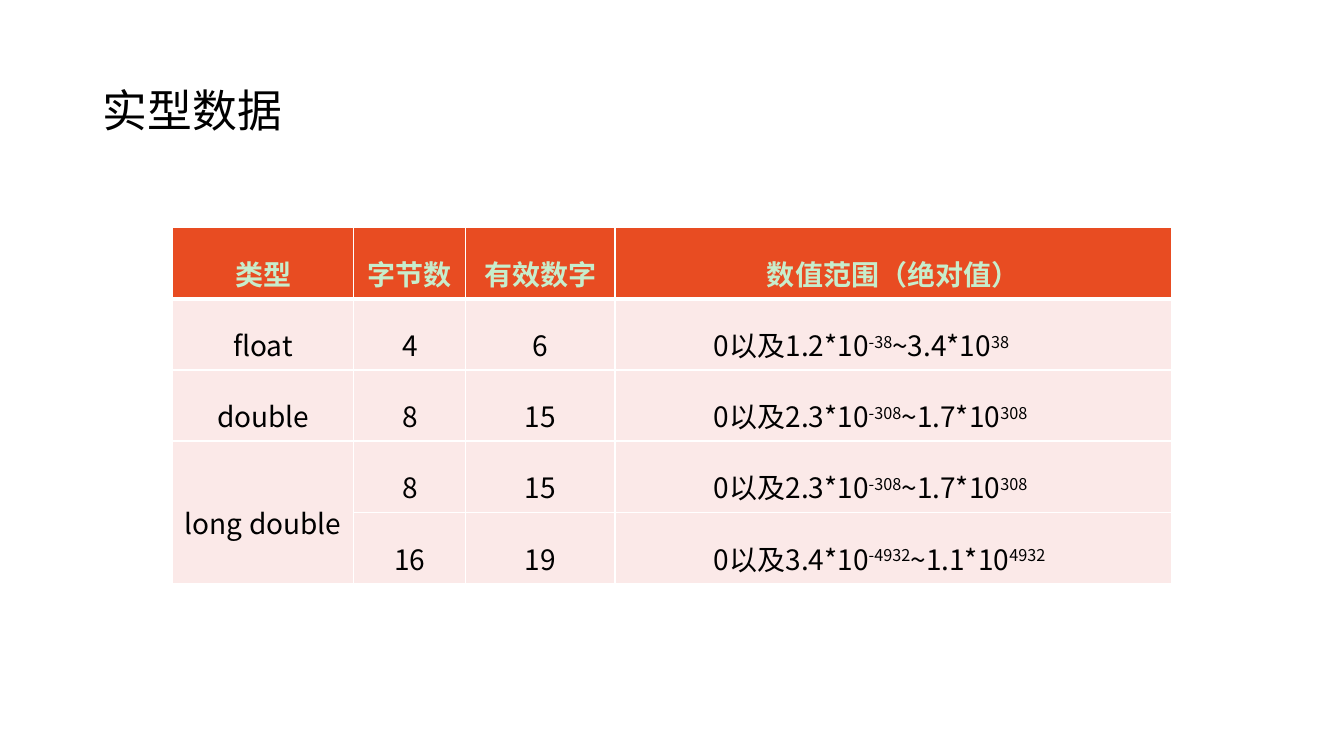
from pptx import Presentation
from pptx.dml.color import RGBColor
from pptx.enum import text
from pptx.oxml.ns import qn
from pptx.util import Inches, Pt
from lxml import etree

TITLE = "实型数据"
HEADERS = ["类型", "字节数", "有效数字", "数值范围（绝对值）"]
# Range cells alternate between normal text and superscript.
ROWS = [
    ("float", "4", "6", ("0以及1.2*10", "-38", "~3.4*10", "38")),
    ("double", "8", "15", ("0以及2.3*10", "-308", "~1.7*10", "308")),
    ("long double", "8", "15", ("0以及2.3*10", "-308", "~1.7*10", "308")),
    ("", "16", "19", ("0以及3.4*10", "-4932", "~1.1*10", "4932")),
]
COLUMN_WIDTHS = [1.8, 1.11, 1.48, 5.52]
ROW_HEIGHT = 0.7
RANGE_MARGIN = 0.98
FONT = "Noto Sans CJK SC"
COLORS = {
    "background": "FFFFFF",
    "border": "FFFFFF",
    "header": "E84C22",
    "header_text": "C7EDCC",
    "body": "FBE9E8",
    "text": "000000",
}


def color(name):
    return RGBColor.from_string(COLORS[name])


def write(frame, parts, size=20, ink="text", bold=False, spacing=1.5,
          align=text.PP_ALIGN.CENTER):
    """Fill the first paragraph; every second part is superscript."""
    para = frame.paragraphs[0]
    para.alignment = align
    para.line_spacing = spacing
    for index, part in enumerate(parts):
        span = para.add_run()
        span.text = part
        span.font.size = Pt(size)
        span.font.bold = bold
        span.font.color.rgb = color(ink)
        span.font.name = FONT
        props = span.font._element
        etree.SubElement(props, qn("a:ea"), typeface=FONT)
        if index % 2:
            props.set("baseline", "30000")


def set_borders(cell, bottom=1, top=1):
    props = cell._tc.get_or_add_tcPr()
    for side, width in zip("LRTB", (1, 1, top, bottom)):
        line = etree.SubElement(props, qn(f"a:ln{side}"), w=str(Pt(width)))
        fill = etree.SubElement(line, qn("a:solidFill"))
        etree.SubElement(fill, qn("a:srgbClr"), val=COLORS["border"])


def add_title(page):
    title = page.shapes.title
    title.left, title.top = Inches(0.92), Inches(0.4)
    title.width, title.height = Inches(11.5), Inches(1.45)
    title.text_frame.vertical_anchor = text.MSO_ANCHOR.MIDDLE
    write(title.text_frame, [TITLE], size=32, spacing=0.9,
          align=text.PP_ALIGN.LEFT)


def add_type_table(page):
    lines = [HEADERS] + ROWS
    table = page.shapes.add_table(
        len(lines), len(HEADERS), Inches(1.71), Inches(2.26),
        Inches(sum(COLUMN_WIDTHS)), Inches(ROW_HEIGHT * len(lines))).table
    for column, width in zip(table.columns, COLUMN_WIDTHS):
        column.width = Inches(width)
    for row in table.rows:
        row.height = Inches(ROW_HEIGHT)
    table.cell(3, 0).merge(table.cell(4, 0))

    for r, line in enumerate(lines):
        header = r == 0
        for c, content in enumerate(line):
            cell = table.cell(r, c)
            set_borders(cell, bottom=3 if header else 1, top=3 if r == 1 else 1)
            cell.fill.solid()
            cell.fill.fore_color.rgb = color("header" if header else "body")
            cell.vertical_anchor = text.MSO_ANCHOR.MIDDLE
            if cell.is_spanned:
                continue
            if isinstance(content, tuple):
                cell.margin_left = cell.margin_right = Inches(RANGE_MARGIN)
                write(cell.text_frame, content, align=text.PP_ALIGN.JUSTIFY)
            else:
                write(cell.text_frame, [content], bold=header,
                      ink="header_text" if header else "text")


def main():
    deck = Presentation()
    deck.slide_width, deck.slide_height = Inches(13.33), Inches(7.5)
    page = deck.slides.add_slide(deck.slide_layouts[5])
    page.background.fill.solid()
    page.background.fill.fore_color.rgb = color("background")
    add_title(page)
    add_type_table(page)
    deck.save("out.pptx")


if __name__ == "__main__":
    main()
